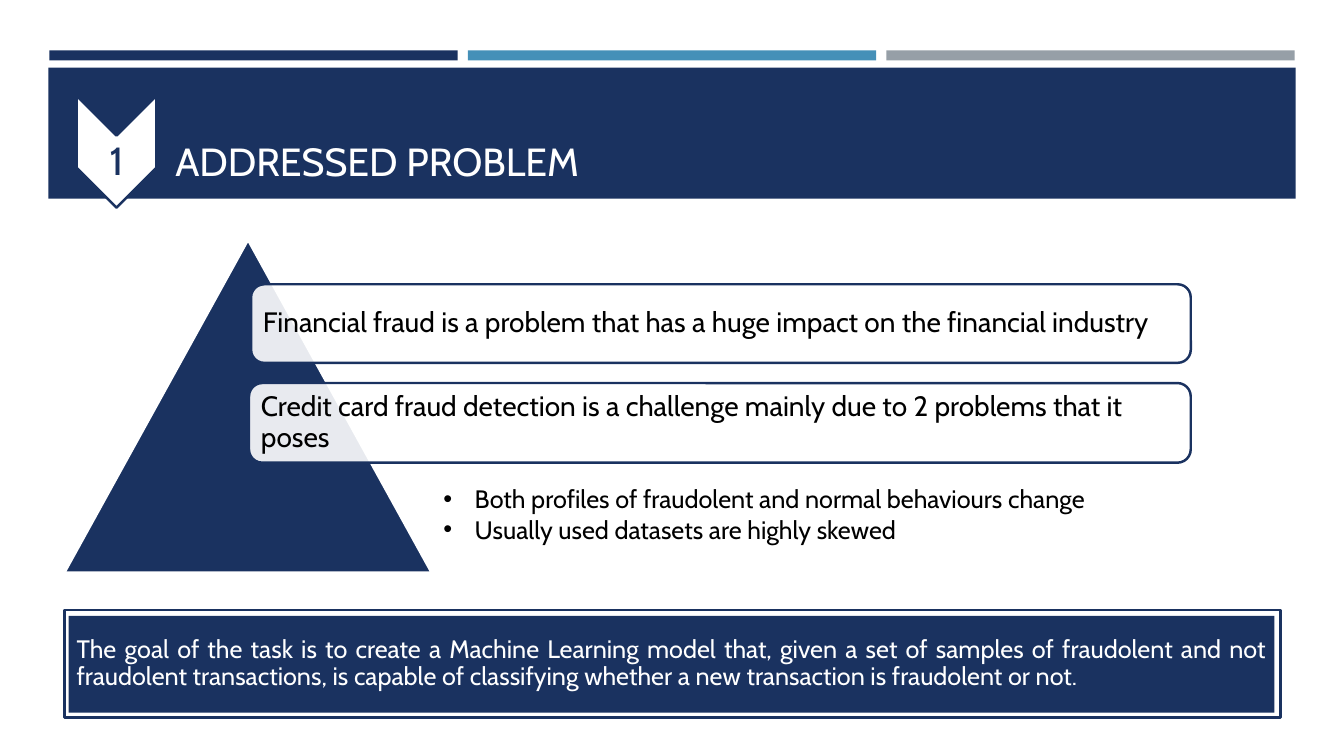
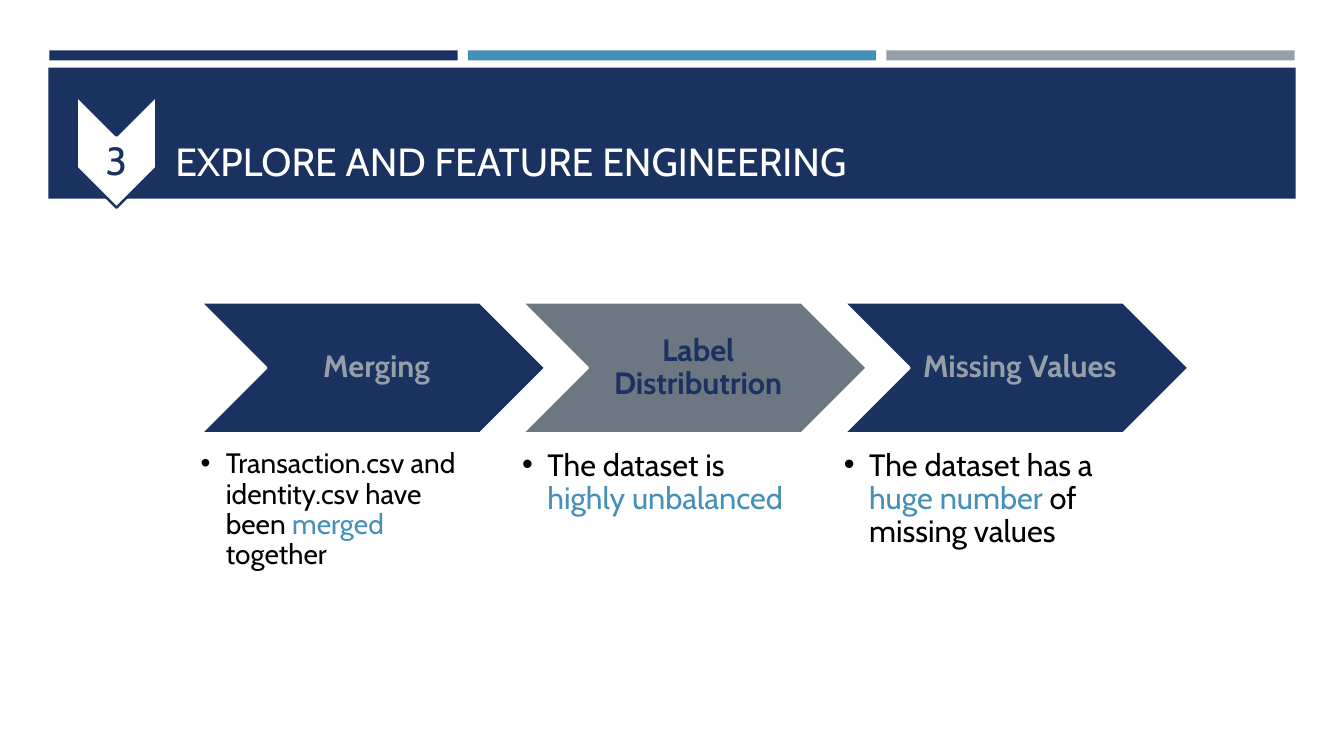
from lxml import etree
from pptx import Presentation
from pptx import util as u
from pptx.dml.color import RGBColor
from pptx.enum import shapes, text
from pptx.oxml.ns import qn

FONT = "Cabin"
NAVY, BLUE, GRAY, SLATE = "1A3260", "4590B8", "969FA7", "6C7781"
WHITE, BLACK = "FFFFFF", "000000"
OUTLINE_WIDTH = u.Pt(1.75)
SHAPE = shapes.MSO_SHAPE
ALIGN = text.PP_ALIGN
ANCHOR = text.MSO_ANCHOR


def color(hex_value):
    return RGBColor.from_string(hex_value)


def inches(box):
    return [u.Inches(value) for value in box]


def set_attributes(target, values):
    for name, value in values.items():
        setattr(target, name, value)


def add_block(slide, kind, box, fill, line=None, opacity=None):
    """Add a preset shape; opacity is a percentage."""
    shape = slide.shapes.add_shape(kind, *inches(box))
    shape.shadow.inherit = False
    shape.fill.solid()
    shape.fill.fore_color.rgb = color(fill)
    if opacity is not None:
        rgb = shape.fill._xPr.find(qn("a:solidFill"))[0]
        etree.SubElement(rgb, qn("a:alpha"), val=str(opacity * 1000))
    if line:
        shape.line.color.rgb = color(line)
        shape.line.width = OUTLINE_WIDTH
    else:
        shape.line.fill.background()
    return shape


def set_frame(shape, margins, anchor):
    """Set wrapping, anchor and the left, top, right and bottom margins."""
    names = ("margin_left", "margin_top", "margin_right", "margin_bottom")
    values = dict(zip(names, inches(margins)))
    values.update(word_wrap=True, vertical_anchor=anchor)
    set_attributes(shape.text_frame, values)


def write(paragraph, runs, size, align=ALIGN.LEFT, spacing=0.9, bold=False):
    """Fill a paragraph with (text, colour) runs."""
    set_attributes(paragraph, {"alignment": align, "line_spacing": spacing})
    for words, hex_value in runs:
        run = paragraph.add_run()
        run.text = words
        set_attributes(run.font, {"name": FONT, "size": u.Pt(size), "bold": bold})
        run.font.color.rgb = color(hex_value)


def set_bullet(paragraph, indent):
    properties = paragraph._p.get_or_add_pPr()
    properties.set("marL", str(u.Inches(indent)))
    properties.set("indent", str(-u.Inches(indent)))
    etree.SubElement(properties, qn("a:buFont"), typeface="Arial")
    etree.SubElement(properties, qn("a:buChar"), char="•")


def add_text(slide, box, runs, size, margins, anchor, **style):
    text_box = slide.shapes.add_textbox(*inches(box))
    set_frame(text_box, margins, anchor)
    write(text_box.text_frame.paragraphs[0], runs, size, **style)


def add_bullets(slide, box, items, size, margins, indent, spacing):
    """Add a bulleted list; each item is a list of runs."""
    text_box = slide.shapes.add_textbox(*inches(box))
    set_frame(text_box, margins, ANCHOR.TOP)
    frame = text_box.text_frame
    for index, runs in enumerate(items):
        paragraph = frame.add_paragraph() if index else frame.paragraphs[0]
        write(paragraph, runs, size, spacing=spacing)
        set_bullet(paragraph, indent)


def add_titled_slide(presentation, number, title):
    """Add a slide with the top stripes, title band and number badge."""
    slide = presentation.slides.add_slide(presentation.slide_layouts[6])
    for index, fill in enumerate((NAVY, BLUE, GRAY)):
        add_block(slide, SHAPE.RECTANGLE, (0.49 + 4.15 * index, 0.5, 4.05, 0.1), fill)
    add_block(slide, SHAPE.RECTANGLE, (0.48, 0.67, 12.37, 1.3), NAVY)
    add_text(slide, (1.64, 0.77, 11.06, 1.11), [(title, WHITE)], 28,
             (0.1, 0.05, 0.1, 0.05), ANCHOR.BOTTOM, spacing=1.0)
    badge = add_block(slide, SHAPE.CHEVRON, (0.6, 1.11, 1.11, 0.79), WHITE, NAVY)
    badge.rotation = 90
    add_text(slide, (0.76, 1.45, 0.79, 0.33), [(number, NAVY)], 28,
             [0.01] * 4, ANCHOR.MIDDLE, align=ALIGN.CENTER)
    return slide


def add_statement(slide, box, words):
    shape = add_block(slide, SHAPE.ROUNDED_RECTANGLE, box, WHITE, NAVY, opacity=90)
    set_frame(shape, [0.08] * 4, ANCHOR.MIDDLE)
    write(shape.text_frame.paragraphs[0], [(words, BLACK)], 20)


def add_goal(slide, words):
    add_block(slide, SHAPE.RECTANGLE, (0.64, 6.05, 12.06, 1.07), WHITE, NAVY, opacity=90)
    panel = add_block(slide, SHAPE.RECTANGLE, (0.68, 6.11, 11.96, 0.96), NAVY)
    set_frame(panel, [0.08] * 4, ANCHOR.MIDDLE)
    write(panel.text_frame.paragraphs[0], [(words, WHITE)], 18, align=ALIGN.JUSTIFY)


def add_step(slide, left, name, fill, name_color, size, runs):
    """Add a process chevron with its bullet below."""
    chevron = add_block(slide, SHAPE.CHEVRON, (left, 3, 3.42, 1.3), fill, WHITE)
    set_frame(chevron, (0.1, 0.03, 0.03, 0.03), ANCHOR.MIDDLE)
    write(chevron.text_frame.paragraphs[0], [(name, name_color)], 22,
          align=ALIGN.CENTER, bold=True)
    add_bullets(slide, (left, 4.46, 2.74, 0.98), [runs], size, [0] * 4, 0.25, 0.9)


def build_problem(presentation):
    slide = add_titled_slide(presentation, "1", "ADDRESSED PROBLEM")
    add_block(slide, SHAPE.ISOSCELES_TRIANGLE, (0.64, 2.38, 3.64, 3.3), NAVY, WHITE)
    add_statement(slide, (2.49, 2.82, 9.32, 0.78),
                  "Financial fraud is a problem that has a huge impact on the financial industry")
    add_statement(slide, (2.47, 3.8, 9.34, 0.79),
                  "Credit card fraud detection is a challenge mainly due to 2 problems that it poses")
    problems = ("Both profiles of fraudolent and normal behaviours change",
                "Usually used datasets are highly skewed")
    add_bullets(slide, (4.3, 4.75, 7.49, 0.71), [[(words, BLACK)] for words in problems],
                18, (0.1, 0.05, 0.1, 0.05), 0.31, 1.0)
    add_goal(slide, "The goal of the task is to create a Machine Learning model that, given a "
                    "set of samples of fraudolent and not fraudolent transactions, is capable "
                    "of classifying whether a new transaction is fraudolent or not.")


def build_features(presentation):
    slide = add_titled_slide(presentation, "3", "EXPLORE AND FEATURE ENGINEERING")
    steps = (
        ("Merging", NAVY, GRAY, 20,
         [("Transaction.csv and identity.csv have been ", BLACK),
          ("merged", BLUE), (" together", BLACK)]),
        ("Label Distributrion", SLATE, NAVY, 22,
         [("The dataset is ", BLACK), ("highly unbalanced", BLUE)]),
        ("Missing Values", NAVY, GRAY, 22,
         [("The dataset has a ", BLACK), ("huge number ", BLUE),
          ("of missing values", BLACK)]),
    )
    for index, step in enumerate(steps):
        add_step(slide, 1.99 + 3.19 * index, *step)


def main():
    presentation = Presentation()
    presentation.slide_width = u.Inches(13.33)
    presentation.slide_height = u.Inches(7.5)
    build_problem(presentation)
    build_features(presentation)
    presentation.save("out.pptx")


if __name__ == "__main__":
    main()
